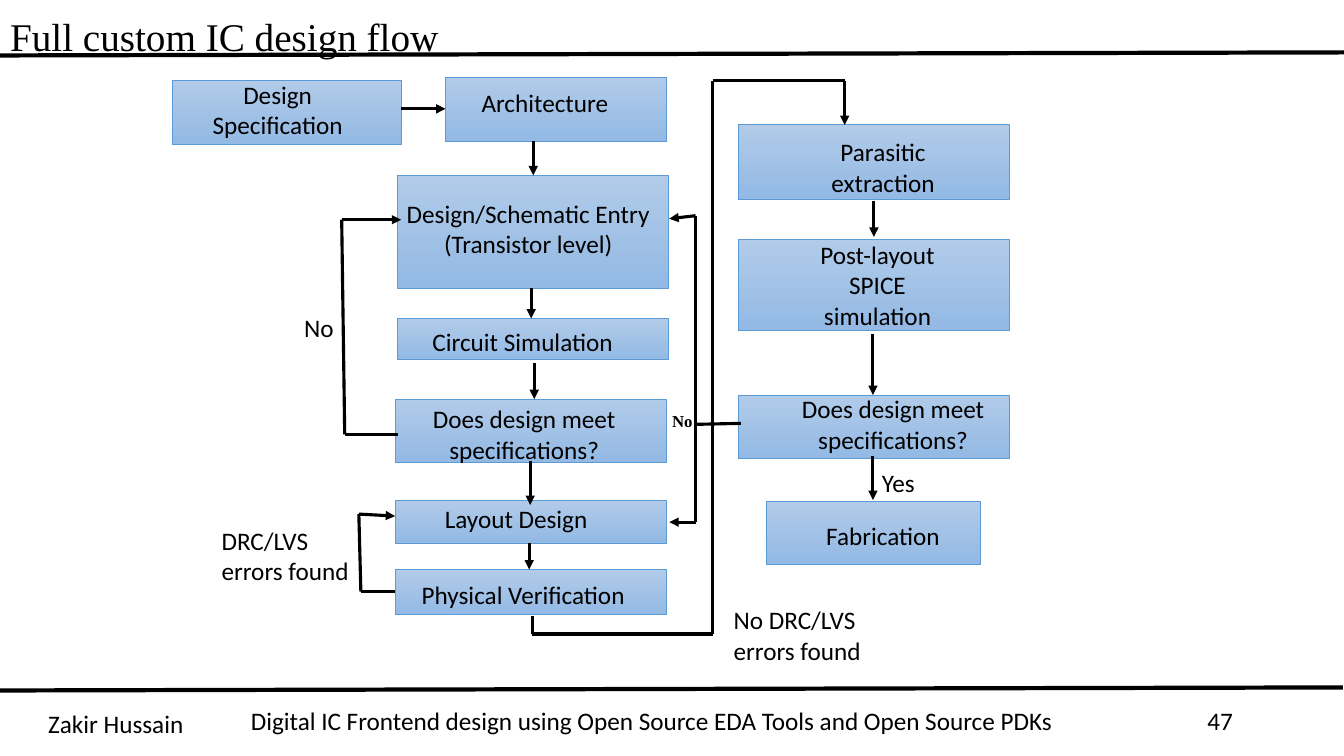
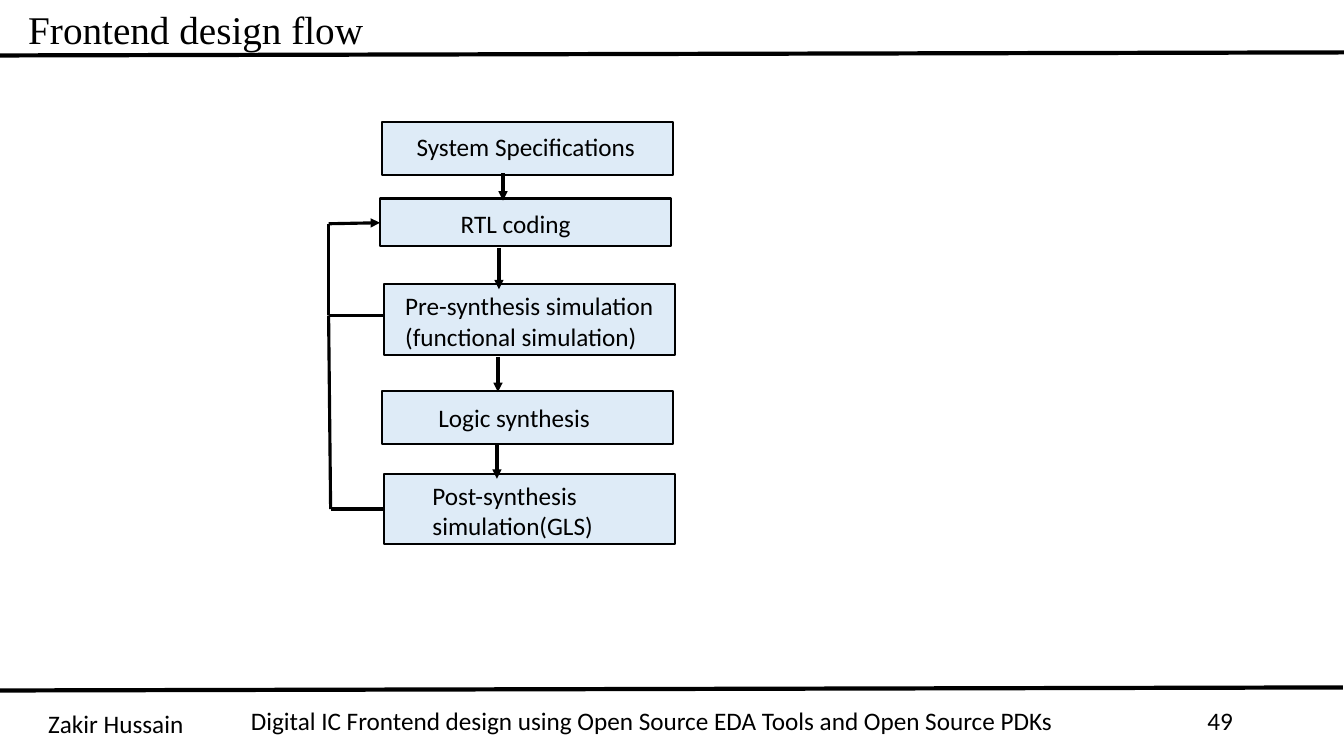
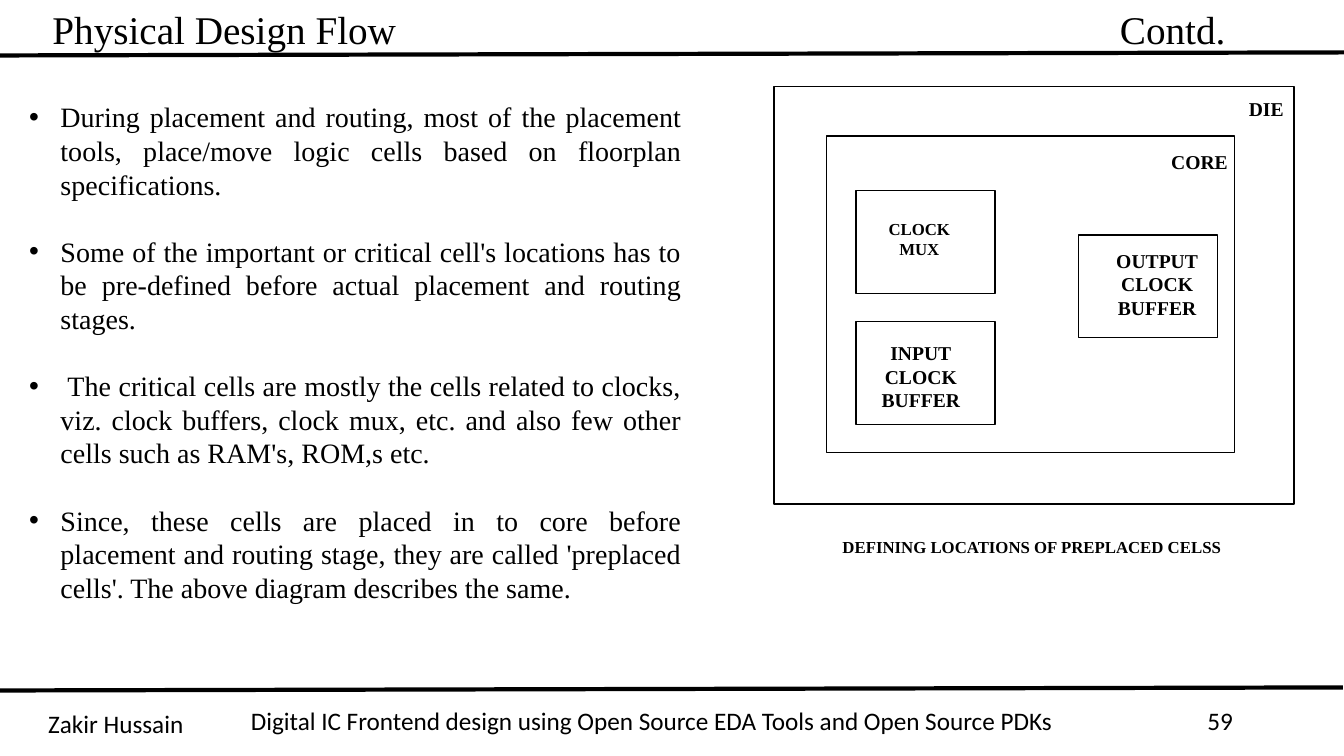
from pptx import Presentation
from pptx.dml.color import RGBColor
from pptx.enum.shapes import MSO_CONNECTOR, MSO_SHAPE
from pptx.enum.text import MSO_ANCHOR, MSO_AUTO_SIZE, PP_ALIGN
from pptx.oxml.ns import qn
from pptx.util import Inches, Pt
from lxml import etree

RECT = MSO_SHAPE.RECTANGLE
LINE = MSO_CONNECTOR.STRAIGHT
LEFT, MID, JUST = PP_ALIGN.LEFT, PP_ALIGN.CENTER, PP_ALIGN.JUSTIFY
TOP, CENTRE = MSO_ANCHOR.TOP, MSO_ANCHOR.MIDDLE
FIXED = MSO_AUTO_SIZE.NONE

# Grid: columns and rows of a tenth of an inch
COLS, ROWS = 133.33, 75
CELL = 0.1

COLORS = {"ink": "000000", "light": "B1CBE9", "deep": "93B9E4",
          "edge": "5B9BD5", "pale": "DEEBF7"}
SANS, SERIF = "Calibri", "Times New Roman"

# Box styles: fill colours, line colour, line width
BOXES = {"shade": (["light", "deep"], "edge", 0.5),
         "flat": (["pale"], "ink", 1.5),
         "open": ([], "ink", 1)}

# Text styles: font, size, bold
TEXTS = {"label": (SANS, 18, False), "title": (SERIF, 28, False),
         "list": (SERIF, 20, False), "mark": (SERIF, 14, True),
         "small": (SERIF, 12, True)}


def cells(*nums):
    return [Inches(num * CELL) for num in nums]


def paint(name):
    return RGBColor.from_string(COLORS[name])


class Deck:
    """Holds the style and the current slide."""

    def __init__(self):
        self.prs = Presentation()
        self.prs.slide_width, self.prs.slide_height = cells(COLS, ROWS)
        self.slide = None

    def page(self, title, num, left, top=0, layout=5):
        """Start a slide with its title, rules and footer."""
        self.slide = self.prs.slides.add_slide(self.prs.slide_layouts[layout])
        self.wire([(0, 5.5), (COLS, 5.2)], 3, False)
        self.wire([(-0.1, 68.5), (COLS - 0.1, 68.2)], 3, False)
        self.label(3.8, 69.8, 17, ["Zakir Hussain"])
        self.label(23.9, 69.5, 86, ["Digital IC Frontend design using "
                                    "Open Source EDA Tools and Open Source PDKs"])
        self.label(118.8, 69.5, 6, [num])
        return self.place(self.slide.shapes.title, (left, top, COLS - left, 5.7),
                          [title], "title", LEFT)

    def place(self, holder, area, lines, style, align):
        """Move a placeholder and fill it."""
        holder.left, holder.top, holder.width, holder.height = cells(*area)
        self.words(holder.text_frame, lines, style, align, TOP)
        return holder.text_frame

    def words(self, frame, lines, style, align, anchor):
        font, size, bold = TEXTS[style]
        frame.word_wrap = True
        frame.auto_size = FIXED
        frame.vertical_anchor = anchor
        for i, line in enumerate(lines):
            para = frame.add_paragraph() if i else frame.paragraphs[0]
            para.alignment = align
            para.space_before = Pt(0)
            run = para.add_run()
            run.text = line
            run.font.name, run.font.size, run.font.bold = font, Pt(size), bold
            run.font.color.rgb = paint("ink")

    def label(self, x, y, w, lines, style="label"):
        item = self.slide.shapes.add_textbox(*cells(x, y, w, 3 * len(lines) + 1))
        self.words(item.text_frame, lines, style, LEFT, TOP)

    def box(self, kind, area, lines=(), dx=0, dy=0, style="label", align=MID):
        """Draw a box; dx and dy shift its text from the middle (or left)."""
        fills, edge, width = BOXES[kind]
        item = self.slide.shapes.add_shape(RECT, *cells(*area))
        item.shadow.inherit = False
        if len(fills) > 1:
            item.fill.gradient()
            item.fill.gradient_angle = 270
            for stop, name in zip(item.fill.gradient_stops, fills):
                stop.color.rgb = paint(name)
        elif fills:
            item.fill.solid()
            item.fill.fore_color.rgb = paint(fills[0])
        else:
            item.fill.background()
        item.line.color.rgb = paint(edge)
        item.line.width = Pt(width)
        frame = item.text_frame
        push = 2 if align == MID else 1
        frame.margin_left, frame.margin_right = cells(max(push * dx, 0), max(-push * dx, 0))
        frame.margin_top, frame.margin_bottom = cells(max(2 * dy, 0), max(-2 * dy, 0))
        self.words(frame, lines, style, align, CENTRE)

    def wire(self, dots, width=2.25, arrow=True):
        """Join points with lines; the last one may end in an arrowhead."""
        for start, end in zip(dots, dots[1:]):
            item = self.slide.shapes.add_connector(LINE, *cells(*start, *end))
            item.line.color.rgb = paint("ink")
            item.line.width = Pt(width)
            props = item._element.spPr
            if arrow and end == dots[-1]:
                etree.SubElement(props.find(qn("a:ln")), qn("a:tailEnd"), type="triangle")
            etree.SubElement(props, qn("a:effectLst"))

    def bullets(self, area, lines):
        body = self.place(self.slide.placeholders[1], area, lines, "list", JUST)
        for para in body.paragraphs:
            para.space_after = Pt(24)
            props = para._p.get_or_add_pPr()
            props.set("marL", str(Inches(0.31)))
            props.set("indent", str(-Inches(0.31)))
            etree.SubElement(props, qn("a:buFont"), typeface="Arial")
            etree.SubElement(props, qn("a:buChar"), char="•")

    def tab(self, frame, col):
        props = frame.paragraphs[0]._p.get_or_add_pPr()
        stops = etree.SubElement(props, qn("a:tabLst"))
        etree.SubElement(stops, qn("a:tab"), pos=str(cells(col)[0]), algn="l")


def custom(deck):
    deck.page("Full custom IC design flow", "47", 0, 0.7)
    ask = ["Does design meet", "specifications?"]
    # Steps: area, text, shift of the text
    for area, lines, dx, dy in [
        ((17.1, 8, 22.7, 6.3), ["Design", "Specification"], -0.9, -0.3),
        ((44.2, 7.7, 21.9, 6.3), ["Architecture"], -1.1, -0.65),
        ((39.4, 17.4, 26.9, 11.2),
         ["Design/Schematic Entry", "(Transistor level)"], -0.45, -0.35),
        ((39.4, 31.6, 26.9, 4.1), ["Circuit Simulation"], -1, 0.25),
        ((39.2, 39.6, 26.9, 6.3), ask, -0.65, 0.3),
        ((39.2, 49.6, 26.9, 4.3), ["Layout Design"], -1.45, -0.35),
        ((39.2, 56.5, 26.9, 4.5), ["Physical Verification"], -0.75, 0.25),
        ((73.2, 12.3, 26.9, 7.5), ["Parasitic", "extraction"], 0.95, 0.5),
        ((73.2, 23.7, 26.9, 9.1), ["Post-layout", "SPICE", "simulation"], 0.4, 0),
        ((73.2, 39.2, 26.9, 6.3), ask, 1.95, -0.3),
        ((76, 49.7, 21.3, 6.3), ["Fabrication"], 0.95, 0.25),
    ]:
        deck.box("shade", area, lines, dx, dy)
    # Arrows between steps
    deck.wire([(39.8, 10.8), (44.2, 10.8)])
    for x, top, end in [(52.9, 14, 17.4), (52.7, 28.6, 31.6), (53, 36, 39.6),
                        (52.6, 45.7, 50.1), (52.5, 53.9, 56.5),
                        (86.7, 19.9, 23.5), (86.6, 33.1, 39.2), (86.6, 45.2, 49.6)]:
        deck.wire([(x, top), (x, end)])
    # Loops
    deck.wire([(52.8, 61.1), (52.8, 62.9), (70.7, 62.9), (70.7, 8),
               (83.8, 8), (83.8, 12.4)])
    deck.wire([(39.2, 58.7), (35.8, 58.7), (35.6, 51), (39.2, 51.2)])
    deck.wire([(39.5, 43.1), (34.2, 43.1), (33.9, 21.8), (39.8, 21.8)])
    deck.wire([(73.5, 42), (69, 42.1), (69, 51.8), (66.4, 51.8)])
    deck.wire([(69, 42.1), (69, 21.4), (66.4, 21.7)])
    # Labels
    deck.label(29.2, 30.5, 6, ["No"])
    deck.label(21, 51.6, 16, ["DRC/LVS", "errors found"])
    deck.label(65.7, 40.3, 5, ["No"], "small")
    deck.label(71.8, 59.5, 16, ["No DRC/LVS", "errors found"])
    deck.label(86.5, 45.9, 7, ["Yes"])


def front(deck):
    deck.page("Frontend design flow", "49", 1.8)
    # Steps: left, top, height, text, shift of the text, alignment
    for x, y, h, lines, dx, dy, align in [
        (37.9, 12.1, 5.3, ["System Specifications"], -0.2, -0.25, MID),
        (37.7, 19.7, 4.7, ["RTL coding"], -1, 0.1, MID),
        (38.1, 28.2, 7, ["Pre-synthesis simulation", "(functional simulation)"],
         2.1, 0.15, LEFT),
        (37.9, 38.8, 5.3, ["Logic synthesis"], -1.35, 0, MID),
        (38.1, 47, 7, ["Post-synthesis simulation(GLS)"], 4.8, 0.15, LEFT),
    ]:
        deck.box("flat", (x, y, 28.9, h), lines, dx, dy, align=align)
    # Arrows and the loop back to coding
    for x, top, end in [(49.9, 17.2, 19.9), (49.5, 24.6, 28.7),
                        (49.4, 35.4, 38.9), (49.3, 44.1, 47.5)]:
        deck.wire([(x, top), (x, end)])
    deck.wire([(38.1, 50.5), (32.8, 50.5), (32.6, 31.3), (32.6, 22.2), (37.7, 22.1)])
    deck.wire([(38, 31.3), (32.6, 31.3)], arrow=False)


def physical(deck):
    title = deck.page("Physical Design Flow\tContd.", "59", 4.2, layout=1)
    deck.tab(title, 105.9)
    deck.bullets((1.9, 9.4, 66.7, 54.5), [
        "During placement and routing, most of the placement tools, place/move "
        "logic cells based on floorplan specifications.",
        "Some of the important or critical cell's locations has to be pre-defined "
        "before actual placement and routing stages.",
        " The critical cells are mostly the cells related to clocks, viz. clock "
        "buffers, clock mux, etc. and also few other cells such as RAM's, ROM,s etc.",
        "Since, these cells are placed in to core before placement and routing "
        "stage, they are called 'preplaced cells'. The above diagram describes "
        "the same."])
    # Die, core and preplaced cells
    deck.box("open", (76.8, 8.6, 51.6, 41.4))
    deck.box("open", (82, 13.5, 40.5, 31.4))
    for x, y, lines, dx, dy, style in [
        (84.9, 18.9, ["CLOCK", "MUX"], -0.6, -0.3, "small"),
        (84.9, 31.9, ["INPUT", "CLOCK", "BUFFER"], -0.45, 0.35, "mark"),
        (107, 23.3, ["OUTPUT", "CLOCK", "BUFFER"], 0.9, -0.25, "mark"),
    ]:
        deck.box("open", (x, y, 13.8, 10.2), lines, dx, dy, style)
    deck.label(122.9, 9.1, 7, ["DIE"], "mark")
    deck.label(115.2, 14.4, 9, ["CORE"], "mark")
    deck.label(82.6, 52.8, 42, ["DEFINING LOCATIONS OF PREPLACED CELSS"], "small")


def main():
    deck = Deck()
    for draw in (custom, front, physical):
        draw(deck)
    deck.prs.save("out.pptx")


if __name__ == "__main__":
    main()
